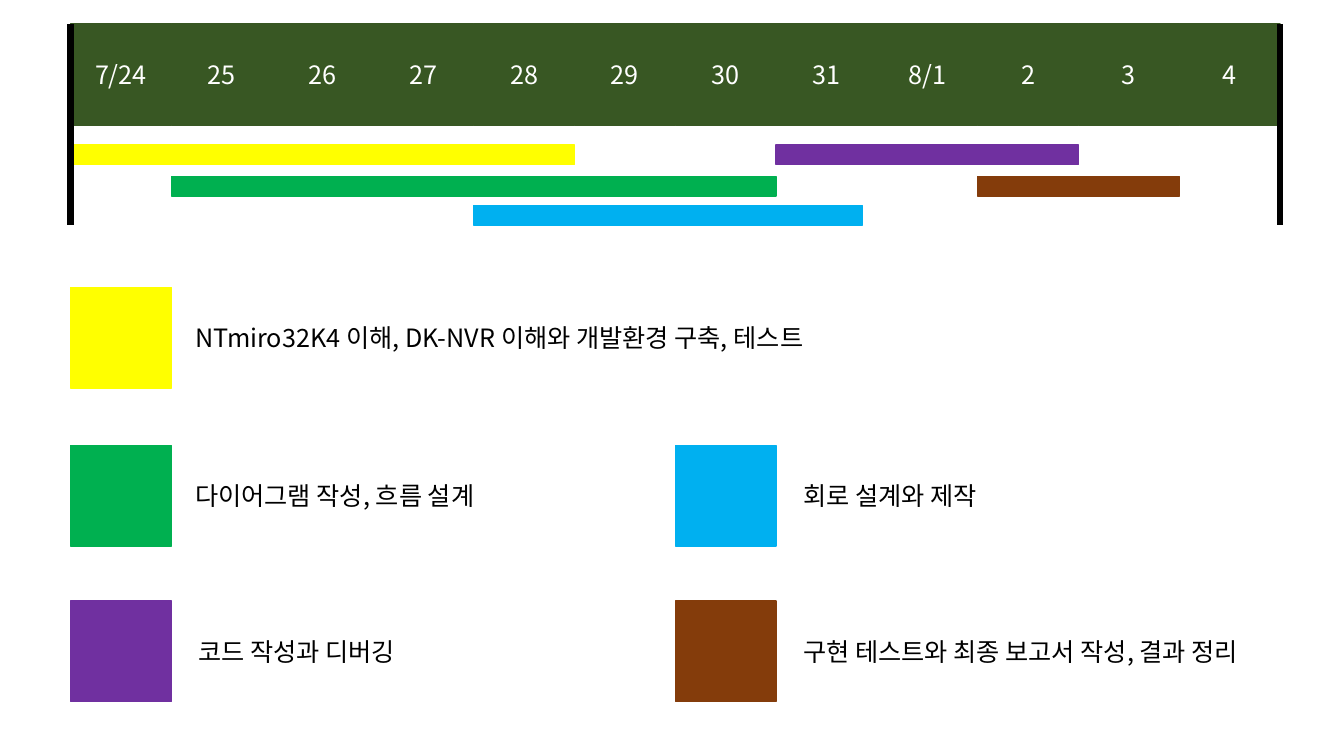
from pptx import Presentation
from pptx.dml.color import RGBColor
from pptx.enum.shapes import MSO_CONNECTOR, MSO_SHAPE
from pptx.enum.text import MSO_ANCHOR, MSO_AUTO_SIZE, PP_ALIGN
from pptx.oxml.ns import qn
from pptx.util import Pt
from lxml import etree

RECTANGLE = MSO_SHAPE.RECTANGLE
STRAIGHT = MSO_CONNECTOR.STRAIGHT
MIDDLE = MSO_ANCHOR.MIDDLE
CENTER = PP_ALIGN.CENTER
LEFT = PP_ALIGN.LEFT
FIT_SHAPE = MSO_AUTO_SIZE.SHAPE_TO_FIT_TEXT

FONT = "Noto Sans CJK KR"
BLACK = RGBColor(0x00, 0x00, 0x00)
WHITE = RGBColor(0xFF, 0xFF, 0xFF)
DARK_GREEN = RGBColor(0x38, 0x57, 0x23)
YELLOW = RGBColor(0xFF, 0xFF, 0x00)
GREEN = RGBColor(0x00, 0xB0, 0x50)
BLUE = RGBColor(0x00, 0xB0, 0xF0)
PURPLE = RGBColor(0x70, 0x30, 0xA0)
BROWN = RGBColor(0x84, 0x3C, 0x0B)

DAY = 72  # side of a day cell and of a legend swatch
DATES = ["7/24", "25", "26", "27", "28", "29", "30", "31", "8/1", "2", "3", "4"]
BAR_ROWS = [86.4, 108.7, 129.6]  # bar tops below the top of the schedule
BAR_HEIGHT = 14

# colour, first day, length in days, bar row
BARS = [
    (YELLOW, 0, 5, 0),
    (GREEN, 1, 6, 1),
    (BLUE, 4, 3.86, 2),
    (PURPLE, 7, 3, 0),
    (BROWN, 9, 2, 1),
]

# colour, column, row, label, label offset, label width
TASKS = [
    (YELLOW, 0, 0, "NTmiro32K4 이해, DK-NVR 이해와 개발환경 구축, 테스트", 82, 484),
    (GREEN, 0, 1, "다이어그램 작성, 흐름 설계", 82, 237.6),
    (BLUE, 1, 1, "회로 설계와 제작", 84.2, 154.8),
    (PURPLE, 0, 2, "코드 작성과 디버깅", 84.2, 172.8),
    (BROWN, 1, 2, "구현 테스트와 최종 보고서 작성, 결과 정리", 84.2, 366.5),
]
LEGEND_ROWS = [0, 113, 224]
LEGEND_COLUMN = 6 * DAY


def write(shape, text, color, align):
    """Put one line of 18 pt text into a shape."""
    para = shape.text_frame.paragraphs[0]
    para.text = text
    para.alignment = align
    span = para.runs[0]
    span.font.size = Pt(18)
    span.font.name = FONT
    span.font.color.rgb = color
    east_asian = etree.SubElement(span.font._element, qn("a:ea"))
    east_asian.set("typeface", FONT)


def add_block(page, left, top, width, height, color):
    """Add a rectangle whose fill and outline share one colour."""
    block = page.shapes.add_shape(RECTANGLE, Pt(left), Pt(top), Pt(width), Pt(height))
    block.shadow.inherit = False
    block.fill.solid()
    block.fill.fore_color.rgb = color
    block.line.color.rgb = color
    block.line.width = Pt(1)
    return block


def add_edge(page, x, top, height):
    """Add a thick black vertical line."""
    edge = page.shapes.add_connector(STRAIGHT, Pt(x), Pt(top), Pt(x), Pt(top + height))
    edge.line.color.rgb = BLACK
    edge.line.width = Pt(4.5)
    etree.SubElement(edge._element.spPr, qn("a:effectLst"))


def add_schedule(page, left, top, height):
    """Add the date header, the task bars and the two edges."""
    for index, date in enumerate(DATES):
        cell = add_block(page, left + index * DAY, top, DAY, DAY, DARK_GREEN)
        cell.text_frame.vertical_anchor = MIDDLE
        write(cell, date, WHITE, CENTER)
    for color, start, days, row in BARS:
        add_block(page, left + start * DAY, top + BAR_ROWS[row],
                  days * DAY, BAR_HEIGHT, color)
    for x in (left, left + len(DATES) * DAY):
        add_edge(page, x, top, height)


def add_legend(page, left, top):
    """Add a colour swatch and a label for each task."""
    for color, column, row, text, offset, width in TASKS:
        x = left + column * LEGEND_COLUMN
        y = top + LEGEND_ROWS[row]
        add_block(page, x, y, DAY, DAY, color)
        label = page.shapes.add_textbox(Pt(x + offset), Pt(y + 21.6), Pt(width), Pt(29))
        label.text_frame.word_wrap = False
        label.text_frame.auto_size = FIT_SHAPE
        write(label, text, BLACK, LEFT)


deck = Presentation()
deck.slide_width = Pt(960)
deck.slide_height = Pt(540)
schedule_page = deck.slides.add_slide(deck.slide_layouts[6])
add_schedule(schedule_page, 50.4, 17.3, 143.3)
add_legend(schedule_page, 50.4, 205.2)
deck.save("out.pptx")
